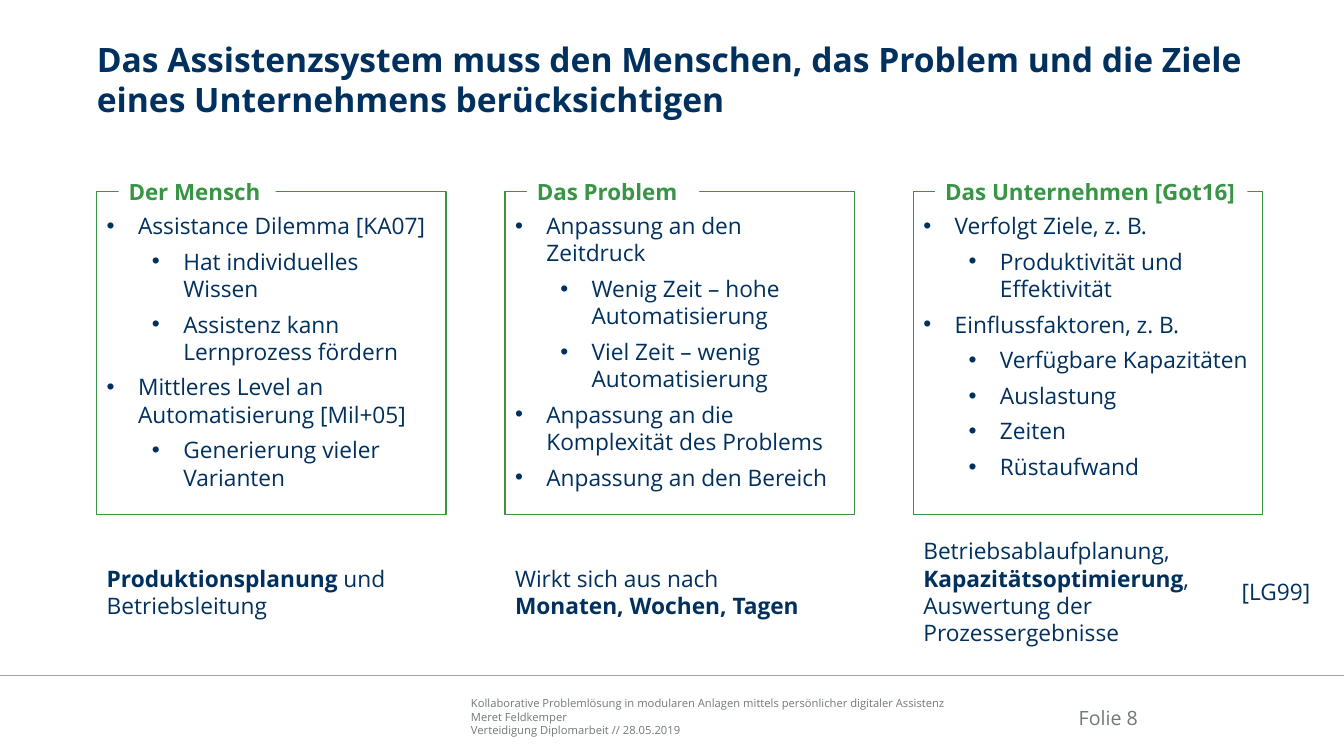
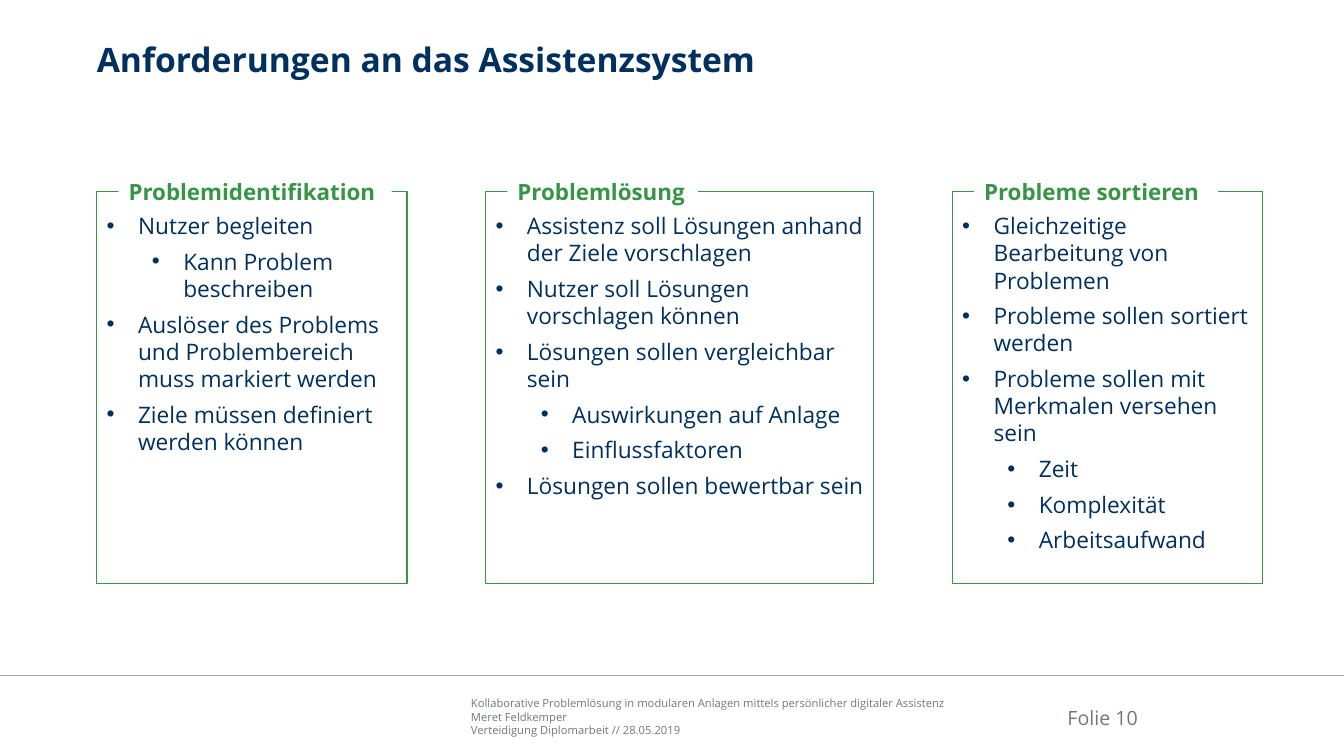
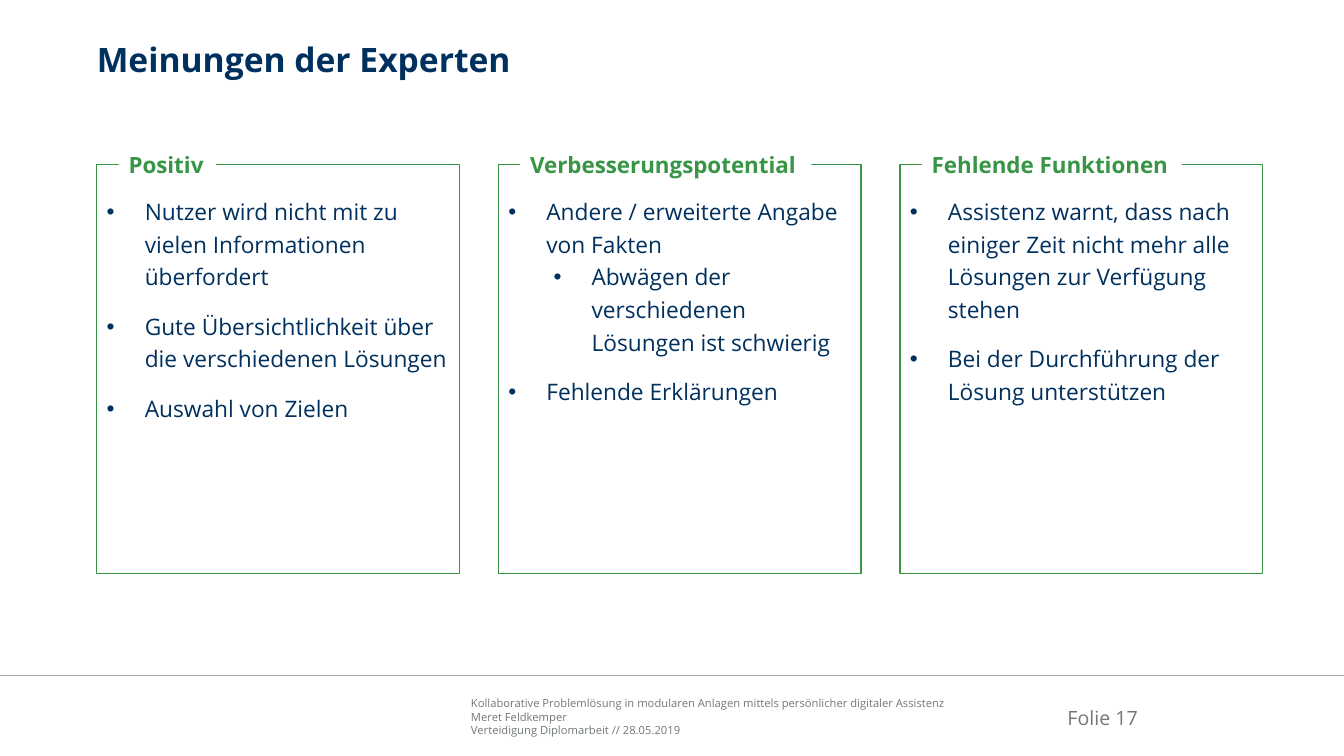
"""Build three slides of framed, titled bullet columns with a shared footer."""
import pptx
import pptx.dml.color
import pptx.enum.shapes
import pptx.enum.text
import pptx.oxml.ns
import pptx.util
from lxml import etree

Cm = pptx.util.Cm
Pt = pptx.util.Pt
RGB = pptx.dml.color.RGBColor
ALIGN = pptx.enum.text.PP_ALIGN
ANCHOR = pptx.enum.text.MSO_ANCHOR
RECT = pptx.enum.shapes.MSO_SHAPE.RECTANGLE
qn = pptx.oxml.ns.qn

NAVY = RGB(0x00, 0x30, 0x5E)
GREEN = RGB(0x37, 0x95, 0x45)
GREY = RGB(0x72, 0x78, 0x79)
RULE = RGB(0xA6, 0xA6, 0xA6)
WHITE = RGB(0xFF, 0xFF, 0xFF)
FONT = "Open Sans"
LEFT = 2.44
SPAN = 29.38
STEP = 1.14
FOOT = [
    "Kollaborative Problemlösung in modularen Anlagen mittels persönlicher digitaler Assistenz",
    "Meret Feldkemper",
    "Verteidigung Diplomarbeit // 28.05.2019",
]


def write(shape, lines, size=16.2, color=NAVY, bold=False, align=ALIGN.LEFT,
          anchor=ANCHOR.TOP, inset=(0.25, 0.13, 0.25, 0.13), wrap=True,
          hang=0, before=(0, 0), lead=None):
    """Fill a shape with (level, text) lines; asterisks switch bold."""
    frame = shape.text_frame
    frame.auto_size = pptx.enum.text.MSO_AUTO_SIZE.NONE
    frame.word_wrap = wrap
    frame.vertical_anchor = anchor
    (frame.margin_left, frame.margin_top,
     frame.margin_right, frame.margin_bottom) = [Cm(side) for side in inset]
    for index, (level, text) in enumerate(lines):
        para = frame.add_paragraph() if index else frame.paragraphs[0]
        para.level = level
        para.alignment = align
        if lead:
            para.line_spacing = lead
        para.space_before = Pt(before[level] if index else 0)
        if hang:
            props = para._p.get_or_add_pPr()
            props.set("marL", str(Cm(hang + level * STEP)))
            props.set("indent", str(-Cm(hang)))
            etree.SubElement(props, qn("a:buFont")).set("typeface", "Arial")
            etree.SubElement(props, qn("a:buChar")).set("char", "•")
        for part, chunk in enumerate(text.split("*")):
            for row, words in enumerate(chunk.split("\n")):
                if row:
                    para.add_line_break()
                if words:
                    run = para.add_run()
                    run.text = words
                    run.font.bold = bold or part % 2 == 1
        para.font.size = Pt(size)
        for run in para.runs:
            run.font.name = FONT
            run.font.size = Pt(size)
            run.font.color.rgb = color


def panel(slide, left, top, width, height, edge=None):
    """Add a white rectangle with an optional coloured edge."""
    shape = slide.shapes.add_shape(RECT, Cm(left), Cm(top), Cm(width), Cm(height))
    shape.shadow.inherit = False
    shape.fill.solid()
    shape.fill.fore_color.rgb = WHITE
    if edge:
        shape.line.color.rgb = edge
        shape.line.width = Pt(1)
    else:
        shape.line.fill.background()
    return shape


TIGHT = dict(hang=0.79, before=(6, 6), inset=(0.25, 0.51, 0.25, 0.13))
LOOSE = dict(hang=0.96, before=(12, 0), inset=(0.25, 0.71, 0.25, 0.13), lead=1.2)

PAGES = [
    dict(
        title="Das Assistenzsystem muss den Menschen, das Problem und die Ziele eines Unternehmens berücksichtigen",
        page=8, top=4.83, height=8.13, style=TIGHT,
        cols=[
            (8.8, "Der Mensch", 3.96, [
                (0, "Assistance Dilemma [KA07]"),
                (1, "Hat individuelles Wissen"),
                (1, "Assistenz kann Lernprozess fördern"),
                (0, "Mittleres Level an Automatisierung [Mil+05]"),
                (1, "Generierung vieler Varianten")]),
            (8.8, "Das Problem", 4.34, [
                (0, "Anpassung an den Zeitdruck"),
                (1, "Wenig Zeit – hohe Automatisierung"),
                (1, "Viel Zeit – wenig Automatisierung"),
                (0, "Anpassung an die Komplexität des Problems"),
                (0, "Anpassung an den Bereich")]),
            (8.8, "Das Unternehmen [Got16]", 7.87, [
                (0, "Verfolgt Ziele, z. B."),
                (1, "Produktivität und Effektivität"),
                (0, "Einflussfaktoren, z. B."),
                (1, "Verfügbare Kapazitäten"),
                (1, "Auslastung"),
                (1, "Zeiten"),
                (1, "Rüstaufwand")])],
        notes=[
            (2.44, 14.1, 8.8, 1.65, "*Produktionsplanung* und\nBetriebsleitung"),
            (12.73, 14.1, 8.8, 1.65, "Wirkt sich aus nach\n*Monaten, Wochen, Tagen*"),
            (23.02, 13.41, 8.8, 3.02,
             "Betriebsablaufplanung, *Kapazitätsoptimierung*, Auswertung der Prozessergebnisse"),
            (31.04, 14.43, 2.26, 0.94, "[LG99]")]),
    dict(
        title="Anforderungen an das Assistenzsystem",
        page=10, top=4.83, height=9.88, style=TIGHT,
        cols=[
            (7.82, "Problemidentifikation", 6.88, [
                (0, "Nutzer begleiten"),
                (1, "Kann Problem beschreiben"),
                (0, "Auslöser des Problems und Problembereich muss markiert werden"),
                (0, "Ziele müssen definiert werden können")]),
            (9.78, "Problemlösung", 4.8, [
                (0, "Assistenz soll Lösungen anhand der Ziele vorschlagen"),
                (0, "Nutzer soll Lösungen vorschlagen können"),
                (0, "Lösungen sollen vergleichbar sein"),
                (1, "Auswirkungen auf Anlage"),
                (1, "Einflussfaktoren"),
                (0, "Lösungen sollen bewertbar sein")]),
            (7.82, "Probleme sortieren", 6.15, [
                (0, "Gleichzeitige Bearbeitung von Problemen"),
                (0, "Probleme sollen sortiert werden"),
                (0, "Probleme sollen mit Merkmalen versehen sein"),
                (1, "Zeit"),
                (1, "Komplexität"),
                (1, "Arbeitsaufwand")])],
        notes=[]),
    dict(
        title="Meinungen der Experten",
        page=17, top=4.14, height=10.31, style=LOOSE,
        cols=[
            (9.14, "Positiv", 2.46, [
                (0, "Nutzer wird nicht mit zu vielen Informationen überfordert"),
                (0, "Gute Übersichtlichkeit über die verschiedenen Lösungen"),
                (0, "Auswahl von Zielen")]),
            (9.14, "Verbesserungspotential", 7.34, [
                (0, "Andere / erweiterte Angabe von Fakten"),
                (1, "Abwägen der verschiedenen Lösungen ist schwierig"),
                (0, "Fehlende Erklärungen")]),
            (9.14, "Fehlende Funktionen", 6.55, [
                (0, "Assistenz warnt, dass nach einiger Zeit nicht mehr alle Lösungen zur Verfügung stehen"),
                (0, "Bei der Durchführung der Lösung unterstützen")])],
        notes=[]),
]

deck = pptx.Presentation()
deck.slide_width = Cm(33.87)
deck.slide_height = Cm(19.05)

for page in PAGES:
    slide = deck.slides.add_slide(deck.slide_layouts[5])
    shapes = slide.shapes

    title = shapes.title
    title.left, title.top = Cm(LEFT), Cm(0.97)
    title.width, title.height = Cm(SPAN), Cm(1.9)
    write(title, [(0, page["title"])], size=24, bold=True, inset=(0, 0, 0, 0))

    line = shapes.add_connector(pptx.enum.shapes.MSO_CONNECTOR.STRAIGHT,
                                0, Cm(17.02), deck.slide_width, Cm(17.02))
    line.line.color.rgb = RULE
    line.line.width = Pt(1)
    etree.SubElement(line._element.spPr, qn("a:effectLst"))

    foot = shapes.add_textbox(Cm(11.87), Cm(17.55), Cm(12.47), Cm(1.02))
    write(foot, [(0, text) for text in FOOT], size=8, color=GREY,
          anchor=ANCHOR.BOTTOM, inset=(0, 0, 0, 0))
    number = shapes.add_textbox(Cm(26.16), Cm(17.45), Cm(2.52), Cm(0.93))
    write(number, [(0, f"Folie {page['page']}")], size=14, color=GREY,
          align=ALIGN.RIGHT, anchor=ANCHOR.BOTTOM, inset=(0, 0, 0, 0))

    cols, top = page["cols"], page["top"]
    gap = (SPAN - sum(col[0] for col in cols)) / (len(cols) - 1)
    left = LEFT
    for width, head, room, points in cols:
        frame = panel(slide, left, top, width, page["height"], GREEN)
        write(frame, points, **page["style"])
        label = panel(slide, left + 0.55, top - 0.47, room, 0.94)
        write(label, [(0, head)], size=16, color=GREEN, bold=True,
              anchor=ANCHOR.MIDDLE)
        left += width + gap

    for left, top, width, height, text in page["notes"]:
        note = shapes.add_textbox(Cm(left), Cm(top), Cm(width), Cm(height))
        write(note, [(0, text)])

deck.save("out.pptx")
